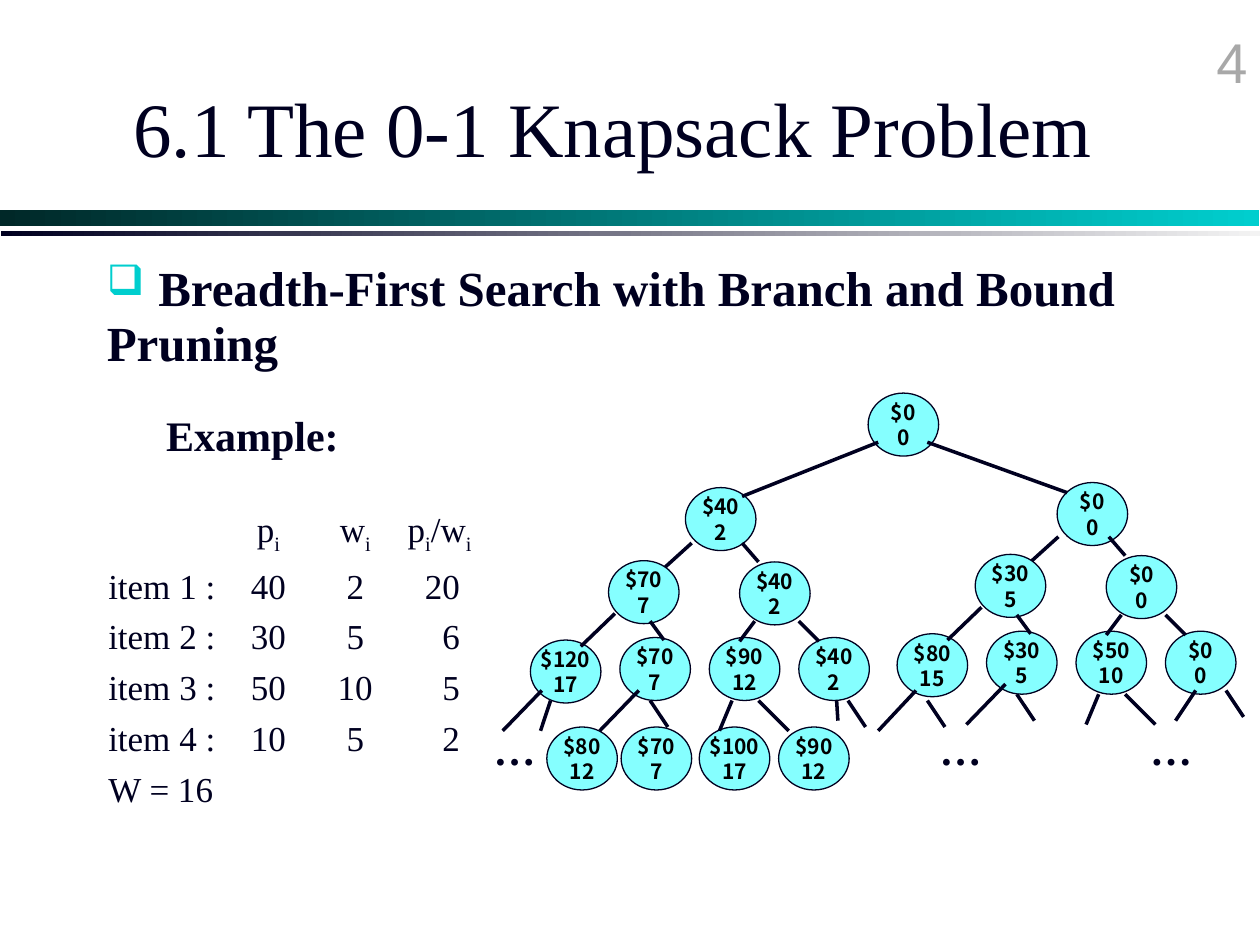
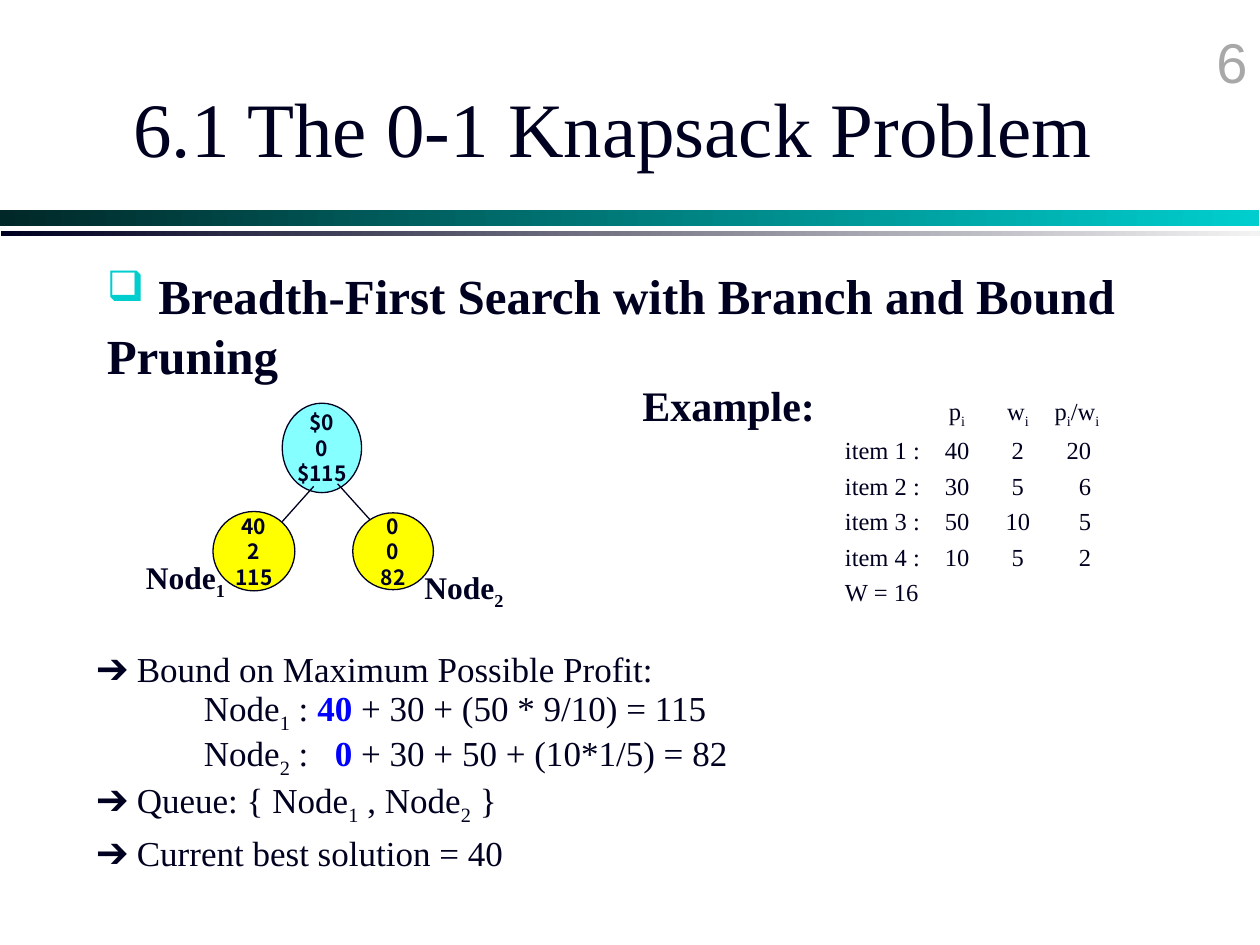
from lxml import etree
from pptx import Presentation
from pptx import util as u
from pptx.dml.color import RGBColor
from pptx.enum import shapes, text
from pptx.oxml.ns import qn

PX = 9144  # EMU in one px, 100 px to the inch

NAVY = RGBColor(0x00, 0x00, 0x20)
BLACK = RGBColor(0x00, 0x00, 0x00)
WHITE = RGBColor(0xFF, 0xFF, 0xFF)
GREY = RGBColor(0xA8, 0xA8, 0xA8)
SILVER = RGBColor(0xF3, 0xF3, 0xF3)
DARK_TEAL = RGBColor(0x00, 0x28, 0x28)
TEAL = RGBColor(0x00, 0xCE, 0xCE)
CYAN = RGBColor(0x85, 0xFF, 0xFF)
YELLOW = RGBColor(0xFF, 0xFF, 0x00)
BLUE = RGBColor(0x00, 0x00, 0xFF)

SERIF = "Times New Roman"
NODE_FONT = "Noto Sans CJK KR"


def add_text(page, at, line, size, bold=False, tabs=()):
    """Add a one-paragraph box; '|' parts runs, '_' starts a subscript, '#' a blue one."""
    box = page.shapes.add_textbox(*(n * PX for n in at))
    box.text_frame.word_wrap = True
    para = box.text_frame.paragraphs[0]
    para.font.name, para.font.size = SERIF, u.Pt(size)
    para.font.bold, para.font.color.rgb = bold, NAVY
    for part in line.split("|"):
        span = para.add_run()
        span.text = part.lstrip("_#")
        if part.startswith("_"):
            span.font._element.set("baseline", "-25000")
        elif part.startswith("#"):
            span.font.bold, span.font.color.rgb = True, BLUE
    if tabs:
        stops = etree.Element(qn("a:tabLst"))
        for place, align in tabs:
            etree.SubElement(stops, qn("a:tab"), pos=str(round(place * PX)), algn=align)
        para._p.pPr.insert_element_before(stops, "a:defRPr", "a:extLst")
    return box


def add_node(page, at, lines, fill, ink):
    node = page.shapes.add_shape(shapes.MSO_SHAPE.OVAL, *(n * PX for n in at))
    node.shadow.inherit = False
    node.fill.solid()
    node.fill.fore_color.rgb = fill
    node.line.color.rgb, node.line.width = NAVY, u.Pt(0.75)
    frame = node.text_frame
    frame.word_wrap = False
    frame.vertical_anchor = text.MSO_ANCHOR.MIDDLE
    frame.margin_left = frame.margin_right = frame.margin_top = frame.margin_bottom = 0
    frame.text = "\n".join(lines.split())
    for para in frame.paragraphs:
        para.alignment = text.PP_ALIGN.CENTER
        para.line_spacing = u.Pt(14.5)
        para.font.name, para.font.size = NODE_FONT, u.Pt(12)
        para.font.bold, para.font.color.rgb = True, ink


deck = Presentation()
deck.slide_width, deck.slide_height = 1000 * PX, 750 * PX

# Parts both slides share: bands, number, title, heading, item list
ITEMS = [
    "\tp|_i|\tw|_i|\tp|_i|/w|_i",
    "item 1 :\t40\t2\t20",
    "item 2 :\t30\t5\t6",
    "item 3 :\t50\t10\t5",
    "item 4 :\t10\t5\t2",
    "W = 16",
]
BANDS = [((0, 167, 999, 12), DARK_TEAL, TEAL), ((1, 183, 999, 4), NAVY, SILVER)]
LAYOUTS = [  # number, heading line spacing, item list box, item size, "Example:" corner
    ("4", 0.9, (55, 398, 500, 296), 20, (122, 320)),
    ("6", 1.0, (646, 309, 500, 210), 14, (500, 296)),
]
pages = []
for number, spacing, items_at, size, example_at in LAYOUTS:
    page = deck.slides.add_slide(deck.slide_layouts[6])
    pages.append(page)
    page.background.fill.solid()
    page.background.fill.fore_color.rgb = WHITE
    for at, start, end in BANDS:
        band = page.shapes.add_shape(shapes.MSO_SHAPE.RECTANGLE, *(n * PX for n in at))
        band.shadow.inherit = False
        band.line.fill.background()
        band.fill.gradient()
        band.fill.gradient_angle = 0
        for stop, colour in zip(band.fill.gradient_stops, (start, end)):
            stop.color.rgb = colour

    para = add_text(page, (792, 17, 208, 50), number, 32).text_frame.paragraphs[0]
    para.alignment = text.PP_ALIGN.RIGHT
    para.font.name, para.font.color.rgb = "Arial", GREY

    title = add_text(page, (96, 38, 852, 125), "6.1 The 0-1 Knapsack Problem", 44)
    title.text_frame.vertical_anchor = text.MSO_ANCHOR.MIDDLE

    heading = add_text(page, (75, 200, 882, 58),
                       " |Breadth-First Search with Branch and Bound Pruning", 28, True)
    para = heading.text_frame.paragraphs[0]
    para.line_spacing = spacing
    para.runs[0].font.size, para.runs[0].font.bold = u.Pt(32), False
    props = para._p.pPr
    bullet_colour = etree.Element(qn("a:buClr"))
    etree.SubElement(bullet_colour, qn("a:srgbClr"), val=str(TEAL))
    for part in (bullet_colour,
                 etree.Element(qn("a:buSzPct"), val="75000"),
                 etree.Element(qn("a:buChar"), char="❑")):
        props.insert_element_before(part, "a:tabLst", "a:defRPr", "a:extLst")

    scale = size / 20
    columns = [(127 * scale, "ctr"), (196 * scale, "ctr")]
    header_tabs = columns + [(263 * scale, "ctr")]
    value_tabs = columns + [(279 * scale, "r")]
    items = add_text(page, items_at, ITEMS[0], size, tabs=header_tabs)
    items.text_frame.margin_left = round((10 + 21 * scale) * PX)
    for item in ITEMS[1:]:
        row = add_text(page, items_at, item, size, tabs=value_tabs)
        para = row.text_frame.paragraphs[0]
        para.space_before = u.Pt(size / 4)
        items.text_frame._txBody.append(para._p)
        row._element.getparent().remove(row._element)
    add_text(page, (*example_at, 157, 50), "Example:", 24, True)

# First slide: search tree, whose right half repeats the left half's layout
tree, first_step = pages
NODES = [(689, 312, "$0 0"), (544, 387, "$40 2"), (839, 383, "$0 0"),
         (434, 577, "$80 12"), (493, 577, "$70 7"),
         (555, 577, "$100 17"), (618, 577, "$90 12")]
EDGES = [(697, 351, 589, 394), (736, 351, 847, 391),
         (430, 548, 399, 580), (437, 556, 429, 580),
         (727, 548, 697, 580), (736, 556, 750, 577),
         (664, 556, 665, 572), (673, 556, 687, 577),
         (949, 548, 933, 572), (973, 548, 987, 569)]
HALF_NODES = [(483, 445), (587, 446), (421, 508), (492, 506), (563, 506), (634, 506)]
HALF_EDGES = [(549, 431, 528, 450), (589, 431, 602, 446),
              (488, 487, 461, 513), (516, 493, 527, 508),
              (507, 548, 476, 580), (516, 556, 530, 577),
              (599, 493, 587, 509), (634, 493, 650, 509),
              (581, 556, 571, 580), (602, 556, 626, 580)]
HALVES = [
    (0, 0, ["$70 7", "$40 2", "$120 17", "$70 7", "$90 12", "$40 2"]),
    (291, -5, ["$30 5", "$0 0", "$80 15", "$30 5", "$50 10", "$0 0"]),
]
for dx, dy, values in HALVES:
    NODES += [(x + dx, y + dy, value) for (x, y), value in zip(HALF_NODES, values)]
    EDGES += [(x1 + dx, y1 + dy, x2 + dx, y2 + dy) for x1, y1, x2, y2 in HALF_EDGES]

for x, y, value in NODES:
    add_node(tree, (x, y, 56, 50), value, CYAN, BLACK)
for x in (382, 736, 903):
    add_text(tree, (x, 569, 53, 50), "…", 24, True)

# Second slide: first branching step
add_node(first_step, (224, 320, 63, 71), "$0 0 $115", CYAN, NAVY)
STEP_EDGES = [(249, 386, 224, 414), (268, 384, 295, 414)]

for page, edges, width in ((tree, EDGES, 2), (first_step, STEP_EDGES, 0.75)):
    for edge in edges:
        line = page.shapes.add_connector(shapes.MSO_CONNECTOR.STRAIGHT,
                                         *(n * PX for n in edge))
        line.line.color.rgb, line.line.width = NAVY, u.Pt(width)
        etree.SubElement(line._element.spPr, qn("a:effectLst"))

add_node(first_step, (169, 406, 65, 63), "40 2 115", YELLOW, NAVY)
add_node(first_step, (280, 407, 64, 61), "0 0 82", YELLOW, NAVY)
add_text(first_step, (106, 438, 100, 40), "Node|_1", 18, True)
add_text(first_step, (327, 446, 100, 40), "Node|_2", 18, True)

for x, y, line in [
    (67, 509, "➔ Bound on Maximum Possible Profit:"),
    (152, 540, "Node|_1| : |#40| + 30 + (50 * 9/10) = 115"),
    (152, 576, "Node|_2| :\t|#0| + 30 + 50 + (10*1/5) = 82"),
    (67, 613, "➔ Queue: { Node|_1| , Node|_2| }"),
    (67, 655, "➔ Current best solution = 40"),
]:
    add_text(first_step, (x, y, 500, 43), line, 20, tabs=[(104, "l")] if "\t" in line else ())

deck.save("out.pptx")
